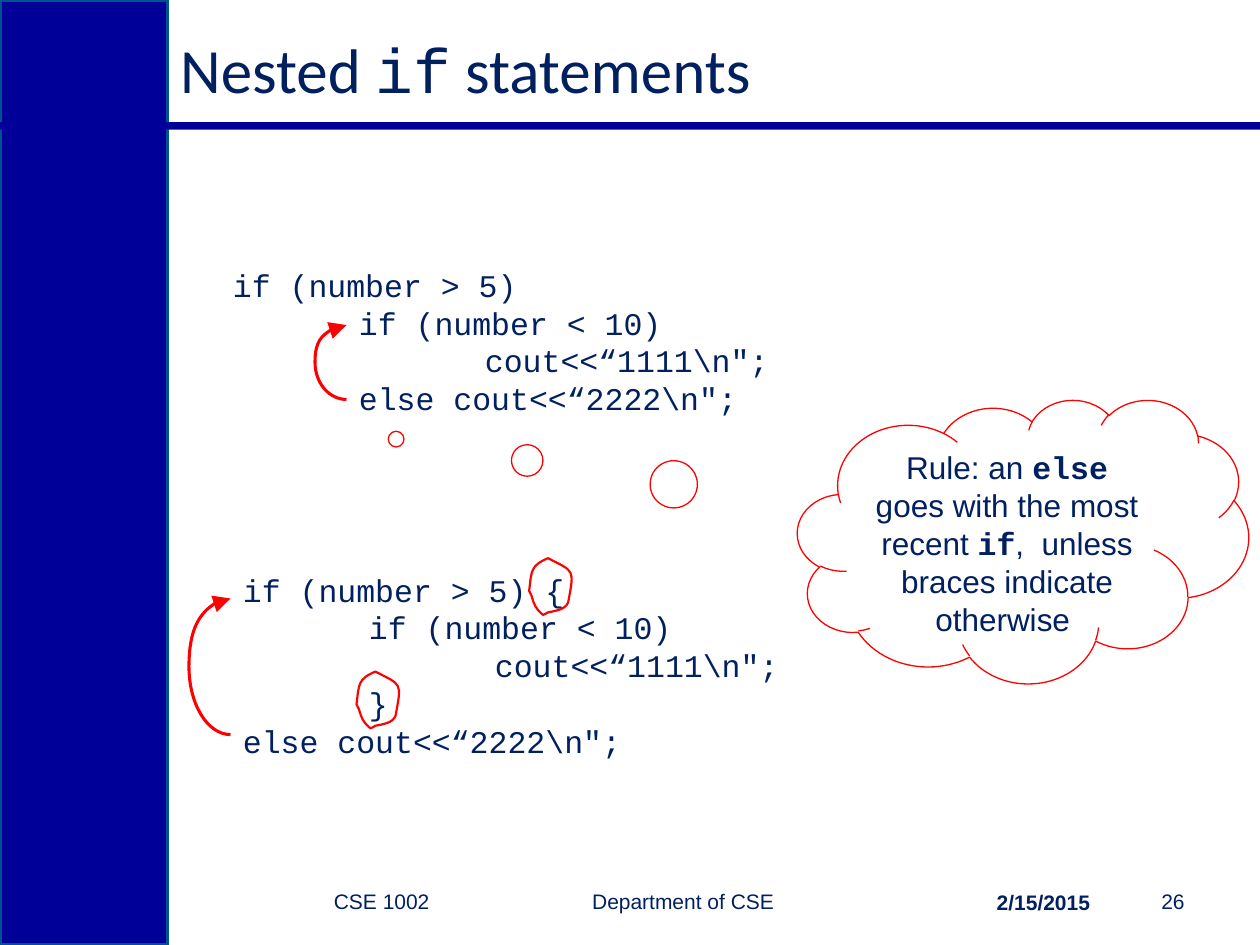
from lxml.etree import SubElement
from pptx import Presentation
from pptx.dml.color import RGBColor
from pptx.enum.shapes import MSO_SHAPE
from pptx.enum.text import MSO_ANCHOR, PP_ALIGN
from pptx.oxml.ns import qn
from pptx.util import Inches, Pt

NAVY = RGBColor(0x00, 0x20, 0x60)
BLUE = RGBColor(0x00, 0x00, 0x99)
TEAL = RGBColor(0x00, 0x53, 0x8E)
RED = RGBColor(0xFF, 0x00, 0x00)
SANS, CODE, HEAD = "Arial", "Courier New", "Calibri"


def add_text(p, size, runs, tabs=()):
    if tabs:
        tab_list = SubElement(p._p.get_or_add_pPr(), qn("a:tabLst"))
        for pos in tabs:
            SubElement(tab_list, qn("a:tab"), pos=str(Inches(pos)), algn="l")
    for text, name, bold in runs:
        r = p.add_run()
        r.text = text
        for key, value in {"name": name, "size": Pt(size), "bold": bold}.items():
            setattr(r.font, key, value)
        r.font.color.rgb = NAVY


def add_curve(left, top, points, width, closed):
    (x, y), *rest = [(Inches(left + px), Inches(top + py)) for px, py in points]
    builder = shapes.build_freeform(x, y)
    builder.add_line_segments(rest, close=closed)
    sp = builder.convert_to_shape()
    segments = list(sp._element.iter(qn("a:lnTo")))
    for i in range(0, len(segments), 3):
        bezier = segments[i].makeelement(qn("a:cubicBezTo"))
        segments[i].addprevious(bezier)
        for segment in segments[i:i + 3]:
            bezier.append(segment[0])
            segment.getparent().remove(segment)
    sp.shadow.inherit = False
    sp.fill.background()
    sp.line.color.rgb = RED
    sp.line.width = Pt(width)
    return sp


prs = Presentation()
prs.slide_width, prs.slide_height = Inches(10), Inches(7.5)
s = prs.slides.add_slide(prs.slide_layouts[5])
shapes = s.shapes

for left, top, width, height, outlined in [(0, 0, 1.33, 7.5, True), (0, 0.97, 10, 0.06, False)]:
    sp = shapes.add_shape(MSO_SHAPE.RECTANGLE, Inches(left), Inches(top), Inches(width), Inches(height))
    sp.shadow.inherit = False
    sp.fill.solid()
    sp.fill.fore_color.rgb = BLUE
    if outlined:
        sp.line.color.rgb = TEAL
        sp.line.width = Pt(2)
    else:
        sp.line.fill.background()

title = shapes.title
frame = {"left": 1.33, "top": 0.17, "width": 7.83, "height": 0.75}
for key, value in frame.items():
    setattr(title, key, Inches(value))
tf = title.text_frame
tf.vertical_anchor = MSO_ANCHOR.MIDDLE
p = tf.paragraphs[0]
p.alignment = PP_ALIGN.LEFT
add_text(p, 36, [("Nested ", HEAD, False), ("if", CODE, False), (" statements", HEAD, False)])

code_blocks = [
    (1.75, 2.06, 4.78, 1.31, [
        "if (number > 5)",
        "\tif (number < 10)",
        "\t\tcout<<“1111\\n\";",
        "\telse cout<<“2222\\n\";",
    ]),
    (1.83, 4.48, 4.63, 1.62, [
        "if (number > 5) {",
        "\tif (number < 10)",
        "\t\tcout<<“1111\\n\";",
        "\t}",
        "else cout<<“2222\\n\";",
    ]),
]
for left, top, width, height, lines in code_blocks:
    tf = shapes.add_textbox(Inches(left), Inches(top), Inches(width), Inches(height)).text_frame
    tf.word_wrap = False
    for i, line in enumerate(lines):
        p = tf.add_paragraph() if i else tf.paragraphs[0]
        add_text(p, 18, [(line, CODE, False)], (1, 2))

for left, top, w, h in [(2.5, 2.58, 0.25, 0.59), (1.5, 4.75, 0.33, 1.08)]:
    arc = [
        (w, h),
        (0.45 * w, h), (0, 0.78 * h), (0, 0.5 * h),
        (0, 0.22 * h), (0.45 * w, 0), (w, 0),
    ]
    sp = add_curve(left, top, arc, 1.75, False)
    ln = sp._element.spPr.find(qn("a:ln"))
    SubElement(ln, qn("a:tailEnd"), type="triangle", w="lg", len="lg")

cloud = shapes.add_shape(MSO_SHAPE.CLOUD_CALLOUT, Inches(6.33), Inches(3.17), Inches(3.58), Inches(2.25))
cloud.shadow.inherit = False
cloud.fill.background()
cloud.line.color.rgb = RED
cloud.line.width = Pt(0.75)
cloud.adjustments[0] = -1.39
cloud.adjustments[1] = -0.36
tf = cloud.text_frame
tf.word_wrap = True
tf.vertical_anchor = MSO_ANCHOR.TOP
p = tf.paragraphs[0]
p.alignment = PP_ALIGN.CENTER
add_text(p, 18, [
    ("Rule: an ", SANS, False),
    ("else", CODE, True),
    (" goes with the most recent ", SANS, False),
    ("if", CODE, True),
    (",  unless braces indicate otherwise ", SANS, False),
])

brace_ring = [
    (0.15, 0),
    (0.36, 0.11), (0.36, 0.08), (0.31, 0.35),
    (0.29, 0.41), (0.2, 0.42), (0.15, 0.43),
    (0.14, 0.44), (0.11, 0.45), (0.11, 0.45),
    (0.05, 0.4), (0.04, 0.37), (0.02, 0.3),
    (0.01, 0.28), (0, 0.26), (0, 0.26),
    (0.02, 0.1), (0.01, 0.06), (0.15, 0),
]
for left, top in [(4.2, 4.43), (2.83, 5.33)]:
    add_curve(left, top, brace_ring, 1.25, True)

footers = [
    (1.42, 6.95, 4.83, "CSE 1002\tDepartment of CSE", False, PP_ALIGN.LEFT, 1.23, [2.05]),
    (8.75, 6.95, 0.75, "26", False, PP_ALIGN.RIGHT, 0.1, []),
    (7, 6.96, 1.75, "2/15/2015", True, PP_ALIGN.RIGHT, 0.1, []),
]
for left, top, width, text, bold, align, inset, tabs in footers:
    tf = shapes.add_textbox(Inches(left), Inches(top), Inches(width), Inches(0.4)).text_frame
    tf.word_wrap = True
    tf.vertical_anchor = MSO_ANCHOR.MIDDLE
    tf.margin_left = Inches(inset)
    p = tf.paragraphs[0]
    p.alignment = align
    add_text(p, 12, [(text, SANS, bold)], tabs)

prs.save("out.pptx")
